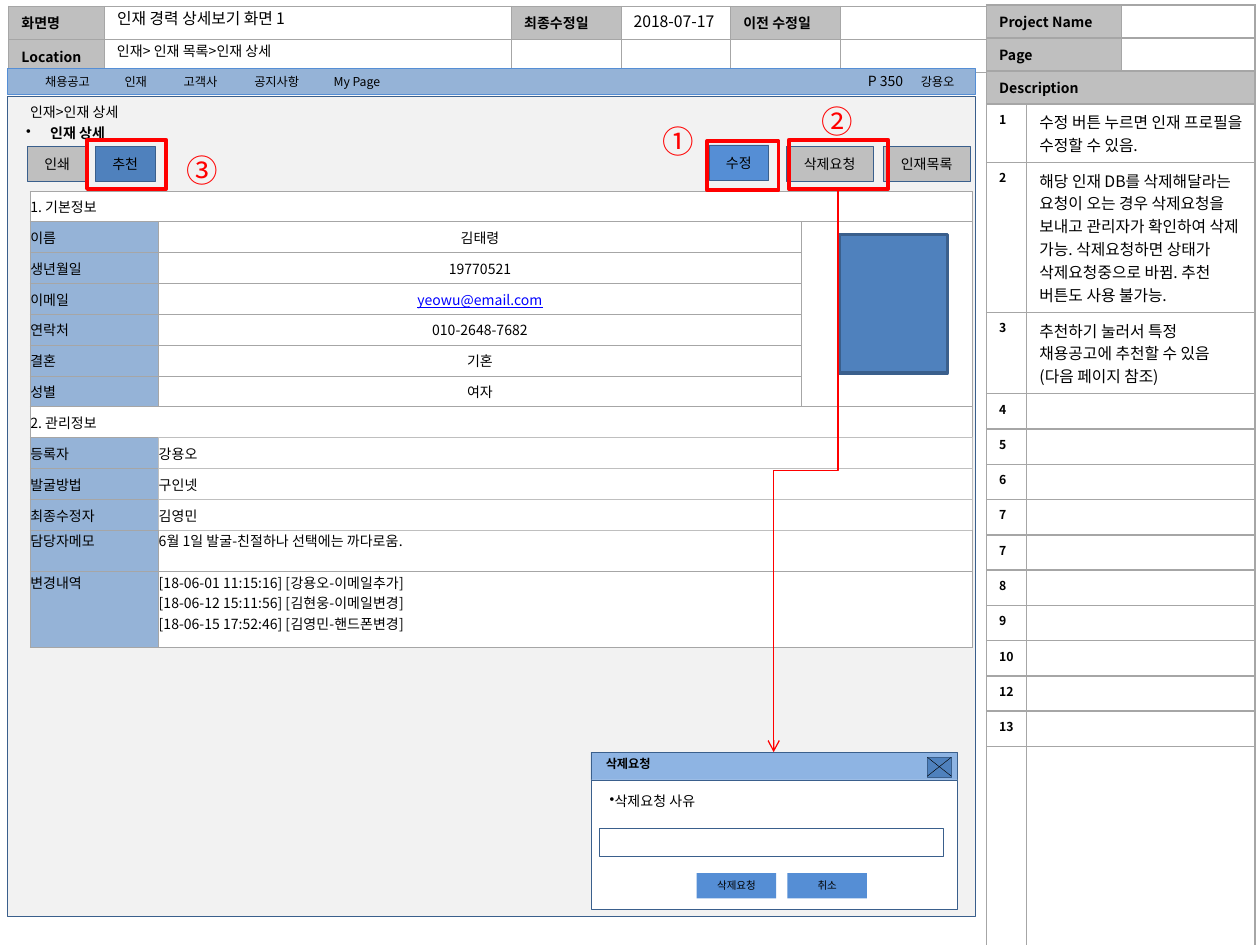
from dataclasses import dataclass
from typing import NamedTuple

from lxml import etree
from pptx import Presentation
from pptx.dml.color import RGBColor
from pptx.enum.shapes import MSO_CONNECTOR, MSO_SHAPE
from pptx.enum.text import MSO_ANCHOR, MSO_AUTO_SIZE, PP_ALIGN
from pptx.oxml.ns import qn
from pptx.util import Inches, Pt

RECT = MSO_SHAPE.RECTANGLE
LINE, ELBOW = MSO_CONNECTOR.STRAIGHT, MSO_CONNECTOR.ELBOW
TOP, MID = MSO_ANCHOR.TOP, MSO_ANCHOR.MIDDLE
LEFT, CENTER = PP_ALIGN.LEFT, PP_ALIGN.CENTER


@dataclass(frozen=True)
class Theme:
    font: str = "Noto Sans CJK KR"
    ink: str = "000000"
    white: str = "FFFFFF"
    head: str = "BFBFBF"
    rule: str = "A6A6A6"
    page: str = "F2F2F2"
    label: str = "95B3D7"
    blue: str = "4F81BD"
    bright: str = "558ED5"
    bar: str = "8EB4E3"
    edge: str = "3A5F8C"
    link: str = "0000FF"
    red: str = "FF0000"
    tiny: int = 6
    small: int = 7
    body: int = 8
    note: int = 9
    mark: int = 18


T = Theme()


class Look(NamedTuple):
    size: int = T.body
    color: str = T.ink
    bold: bool = False
    under: bool = False
    align: PP_ALIGN = LEFT
    bullet: float | None = None  # hanging indent in inches


class Cell(NamedTuple):
    text: str = ""
    look: Look = Look()
    fill: str = T.white
    span: tuple = (1, 1)
    rim: tuple = (0.5, 0.5, 0.5, 0.5)  # left, right, top, bottom
    rule: str = T.rule
    anchor: MSO_ANCHOR = TOP


class Box(NamedTuple):
    at: tuple
    fill: str | None = None
    line: str | None = T.edge
    wide: float = 0.25
    text: str = ""
    look: Look = Look(align=CENTER)
    anchor: MSO_ANCHOR = MID


class Label(NamedTuple):
    at: tuple
    text: str
    look: Look = Look()


def rgb(code: str) -> RGBColor:
    return RGBColor.from_string(code)


def setall(item, vals: dict) -> None:
    for key, val in vals.items():
        setattr(item, key, val)


def write(frame, text: str, look: Look) -> None:
    frame.text = text
    for para in frame.paragraphs:
        para.alignment = look.align
        for run in para.runs:
            setall(run.font, {"name": T.font, "size": Pt(look.size),
                              "bold": look.bold, "underline": look.under})
            run.font.color.rgb = rgb(look.color)
            etree.SubElement(run.font._element, qn("a:ea"), typeface=T.font)
        if not para.runs:  # an empty cell must not stretch its row
            etree.SubElement(para._p, qn("a:endParaRPr"), sz=str(look.size * 100))
        if look.bullet is not None:
            props = para._p.get_or_add_pPr()
            props.set("marL", str(Inches(look.bullet)))
            props.set("indent", str(-Inches(look.bullet)))
            etree.SubElement(props, qn("a:buChar"), char="•")


def put_box(pool, box: Box) -> None:
    shape = pool.add_shape(RECT, *map(Inches, box.at))
    shape.shadow.inherit = False
    for part, code in ((shape.fill, box.fill), (shape.line.fill, box.line)):
        if code:
            part.solid()
            part.fore_color.rgb = rgb(code)
        else:
            part.background()
    if box.line:
        shape.line.width = Pt(box.wide)
    if box.text:
        shape.text_frame.vertical_anchor = box.anchor
        write(shape.text_frame, box.text, box.look)


def put_text(pool, label: Label) -> None:
    frame = pool.add_textbox(*map(Inches, label.at)).text_frame
    frame.word_wrap = True
    write(frame, label.text, label.look)


def put_line(pool, kind, ends: tuple, color: str, wide: float):
    wire = pool.add_connector(kind, *map(Inches, ends))
    wire.line.color.rgb = rgb(color)
    wire.line.width = Pt(wide)
    etree.SubElement(wire._element.spPr, qn("a:effectLst"))
    return wire


def fill_cell(cell, data: Cell, inset: dict) -> None:
    setall(cell, {"vertical_anchor": data.anchor, **inset})
    write(cell.text_frame, data.text, data.look)
    cell.fill.solid()
    cell.fill.fore_color.rgb = rgb(data.fill)
    props = cell._tc.get_or_add_tcPr()
    for i, (side, wide) in enumerate(zip("LRTB", data.rim)):
        ln = etree.Element(qn(f"a:ln{side}"), w=str(Pt(wide)))
        paint = etree.SubElement(ln, qn("a:solidFill"))
        etree.SubElement(paint, qn("a:srgbClr"), val=data.rule)
        props.insert(i, ln)


def put_table(pool, spot: tuple, cols: list, rows: list, cells: dict, inset: dict) -> None:
    size = (sum(cols), sum(rows))
    table = pool.add_table(len(rows), len(cols), *map(Inches, spot + size)).table
    setall(table, {"first_row": False, "horz_banding": False})
    for col, wide in zip(table.columns, cols):
        col.width = Inches(wide)
    for row, high in zip(table.rows, rows):
        row.height = Inches(high)
    for r in range(len(rows)):
        for c in range(len(cols)):
            fill_cell(table.cell(r, c), cells.get((r, c), Cell()), inset)
    for (r, c), data in cells.items():
        if data.span != (1, 1):
            down, across = data.span
            table.cell(r, c).merge(table.cell(r + down - 1, c + across - 1))


def put_head(pool) -> None:
    names = {(0, 0): "화면명", (0, 2): "최종수정일", (0, 4): "이전 수정일", (1, 0): "Location"}
    cells = {key: Cell(name, Look(bold=True), T.head) for key, name in names.items()}
    put_table(pool, (0.07, 0.05), [0.76, 3.23, 0.87, 0.87, 0.87, 1.17], [0.26] * 2, cells, {})


def put_notes(pool) -> None:
    notes = ["수정 버튼 누르면 인재 프로필을 수정할 수 있음.",
             "해당 인재 DB를 삭제해달라는 요청이 오는 경우 삭제요청을 보내고 관리자가 확인하여 "
             "삭제 가능. 삭제요청하면 상태가 삭제요청중으로 바뀜. 추천 버튼도 사용 불가능.",
             "추천하기 눌러서 특정 채용공고에 추천할 수 있음(다음 페이지 참조)"]
    marks = "1 2 3 4 5 6 7 7 8 9 10 12 13".split() + [""]
    thick = (1, 1, 1, 1)
    cells = {(r, 0): Cell(name, Look(bold=True), T.head, (1, wide), thick)
             for r, (name, wide) in enumerate([("Project Name", 2), ("Page", 2), ("Description", 3)])}
    cells |= {(r, 2): Cell(rim=thick) for r in range(2)}
    for i, mark in enumerate(marks):
        text = notes[i] if i < len(notes) else ""
        cells[i + 3, 0] = Cell(mark, Look(T.small, bold=True), rim=(1, 0.5, 1, 1))
        cells[i + 3, 1] = Cell(text, Look(T.note), span=(1, 2), rim=(0.5, 1, 1, 1))
    rows = [0.26] * 3 + [0.46, 1.19, 0.64] + [0.28] * 10 + [2.5]
    put_table(pool, (7.83, 0.04), [0.32, 0.75, 1.06], rows, cells, {})


def put_form(pool) -> None:
    basic = [("이름", "김태령"), ("생년월일", "19770521"), ("이메일", "yeowu@email.com"),
             ("연락처", "010-2648-7682"), ("결혼", "기혼"), ("성별", "여자")]
    admin = [("등록자", "강용오"), ("발굴방법", "구인넷"), ("최종수정자", "김영민"),
             ("담당자메모", "6월 1일 발굴-친절하나 선택에는 까다로움."),
             ("변경내역", "[18-06-01 11:15:16] [강용오-이메일추가]\n"
                      "[18-06-12 15:11:56] [김현웅-이메일변경]\n"
                      "[18-06-15 17:52:46] [김영민-핸드폰변경]")]
    cells = {(0, 0): Cell("1. 기본정보", span=(1, 3), anchor=MID),
             (1, 2): Cell(span=(6, 1)),
             (7, 0): Cell("2. 관리정보", span=(1, 3), anchor=MID)}
    for r, (name, text) in enumerate(basic, 1):
        look = Look(color=T.link, under=True, align=CENTER) if "@" in text else Look(align=CENTER)
        cells[r, 0] = Cell(name, fill=T.label, anchor=MID)
        cells[r, 1] = Cell(text, look, anchor=MID)
    for r, (name, text) in enumerate(admin, 8):
        short = r < 11
        base = {"anchor": MID if short else TOP}
        cells[r, 0] = Cell(name, fill=T.label, **base)
        if short:
            base |= {"rim": (1, 1, 1, 1), "rule": T.head}
        cells[r, 1] = Cell(text, span=(1, 2), **base)
    inset = dict.fromkeys(("margin_left", "margin_right", "margin_top", "margin_bottom"), 0)
    rows = [0.24] + [0.245] * 10 + [0.33, 0.6]
    put_table(pool, (0.24, 1.52), [1.02, 5.1, 1.36], rows, cells, inset)


def put_popup(pool) -> None:
    key = {"fill": T.bright, "line": None, "look": Look(T.tiny, align=CENTER), "anchor": TOP}
    for box in (Box((4.69, 5.97, 2.91, 0.22), T.bar), Box((4.69, 6.19, 2.91, 1.03), T.white),
                Box((4.76, 6.57, 2.73, 0.23), T.white), Box((7.36, 6.01, 0.19, 0.16), T.blue),
                Box((5.53, 6.93, 0.63, 0.2), text="삭제요청", **key),
                Box((6.25, 6.93, 0.63, 0.2), text="취소", **key)):
        put_box(pool, box)
    for ends in ((7.36, 6.01, 7.55, 6.16), (7.55, 6.01, 7.36, 6.16)):
        put_line(pool, LINE, ends, T.ink, 0.25)
    put_text(pool, Label((4.71, 5.95, 1.16, 0.16), "삭제요청", Look(T.small, bold=True)))
    put_text(pool, Label((4.74, 6.24, 1.16, 0.17), "삭제요청 사유", Look(bullet=0)))


def main() -> None:
    deck = Presentation()
    setall(deck, {"slide_width": Inches(10), "slide_height": Inches(7.5)})
    slide = deck.slides.add_slide(deck.slide_layouts[5])
    pool = slide.shapes

    # Page tables, screen area and form
    put_head(pool)
    put_notes(pool)
    put_box(pool, Box((0.06, 0.76, 7.68, 6.51), T.page))
    put_form(pool)

    # Title, above the header table
    title = pool.title
    setall(title, dict(zip(("left", "top", "width", "height"), map(Inches, (0.83, 0.02, 3.07, 0.25)))))
    setall(title.text_frame, {"vertical_anchor": TOP, "auto_size": MSO_AUTO_SIZE.NONE, "word_wrap": True})
    write(title.text_frame, "인재 경력 상세보기 화면 1", Look(T.note))
    pool._spTree.append(title._element)

    # Buttons, photo and menu bar
    for left, top, wide, fill, text in (
            (6.24, 1.16, 0.69, T.head, "삭제요청"), (7.01, 1.16, 0.69, T.head, "인재목록"),
            (0.76, 1.16, 0.47, T.blue, "추천"), (0.22, 1.16, 0.47, T.head, "인쇄"),
            (5.63, 1.15, 0.47, T.bright, "수정")):
        put_box(pool, Box((left, top, wide, 0.28), fill, text=text))
    put_box(pool, Box((6.66, 1.86, 0.86, 1.1), T.blue, wide=2))
    put_box(pool, Box((0.06, 0.54, 7.68, 0.21), T.label, T.bright))

    # Menu, header and heading texts
    for left, wide, text in ((0.26, 0.63, "채용공고"), (0.89, 0.63, "인재"), (1.36, 0.63, "고객사"),
                             (1.92, 0.63, "공지사항"), (2.55, 0.8, "My Page"), (7.21, 0.54, "강용오")):
        put_text(pool, Label((left, 0.54, wide, 0.22), text, Look(T.small)))
    for label in (Label((6.79, 0.53, 0.57, 0.24), "P 350"),
                  Label((4.93, 0.04, 0.94, 0.25), "2018-07-17", Look(T.note)),
                  Label((0.83, 0.29, 2.59, 0.24), "인재> 인재 목록>인재 상세"),
                  Label((0.14, 0.77, 2.59, 0.24), "인재>인재 상세"),
                  Label((0.11, 0.94, 2.59, 0.24), "인재 상세", Look(bold=True, bullet=0.19))):
        put_text(pool, label)

    # Delete dialog and the arrow leading to it
    put_popup(pool.add_group_shape().shapes)
    wire = put_line(pool, ELBOW, (4.16, 3.48, 8.63, 3.99), T.red, 0.75)
    wire._element.spPr.find(qn("a:xfrm")).set("rot", str(90 * 60000))
    etree.SubElement(wire.line._get_or_add_ln(), qn("a:tailEnd"), type="arrow")

    # Numbered red marks
    for at in ((6.26, 1.11, 0.79, 0.39), (0.69, 1.11, 0.63, 0.39), (5.61, 1.12, 0.57, 0.39)):
        put_box(pool, Box(at, line=T.red, wide=2))
    for left, top, wide, text in ((5.16, 0.92, 0.31, "①"), (6.42, 0.76, 0.39, "②"), (1.38, 1.15, 0.39, "③")):
        put_text(pool, Label((left, top, wide, 0.4), text, Look(T.mark, T.red)))

    deck.save("out.pptx")


if __name__ == "__main__":
    main()
